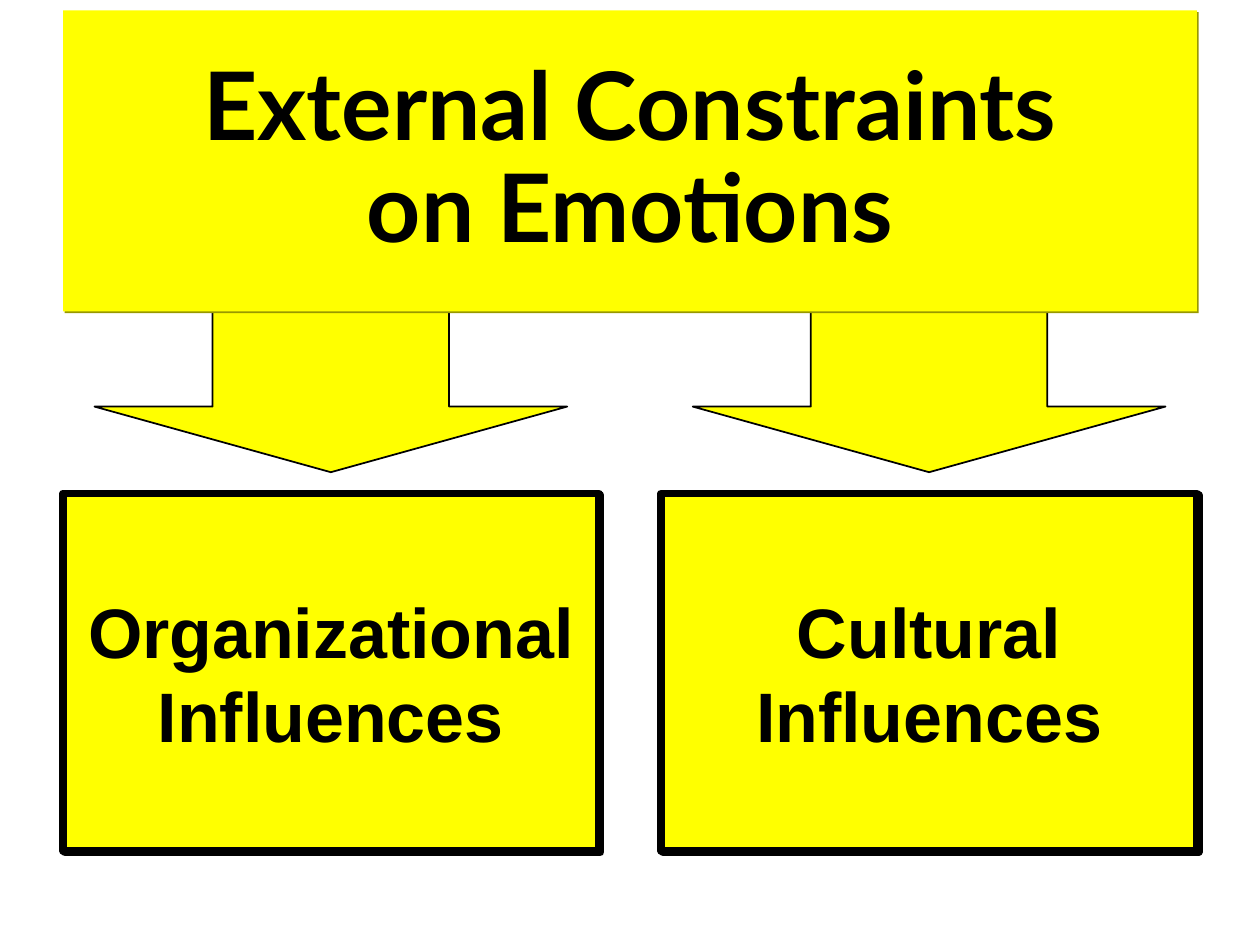
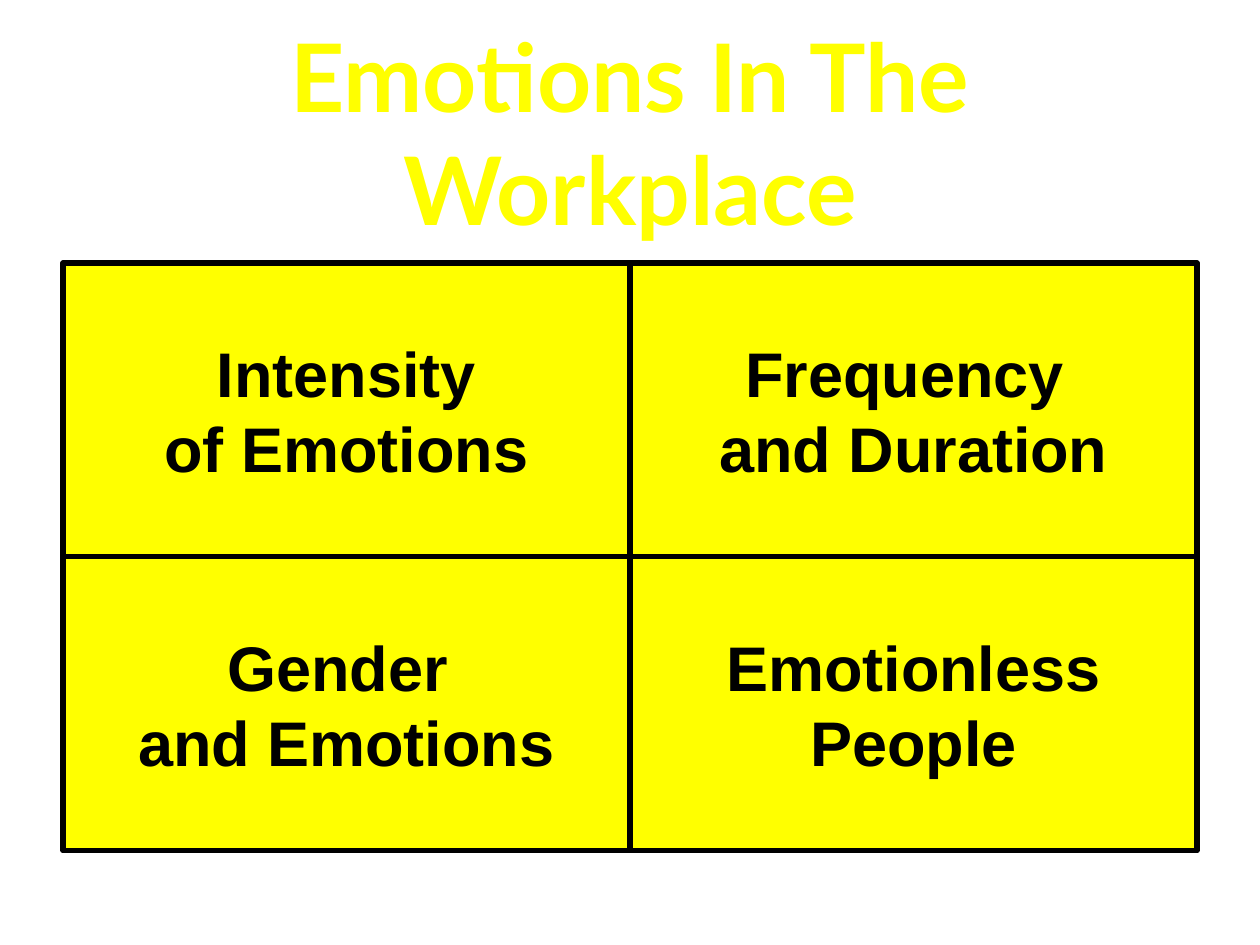
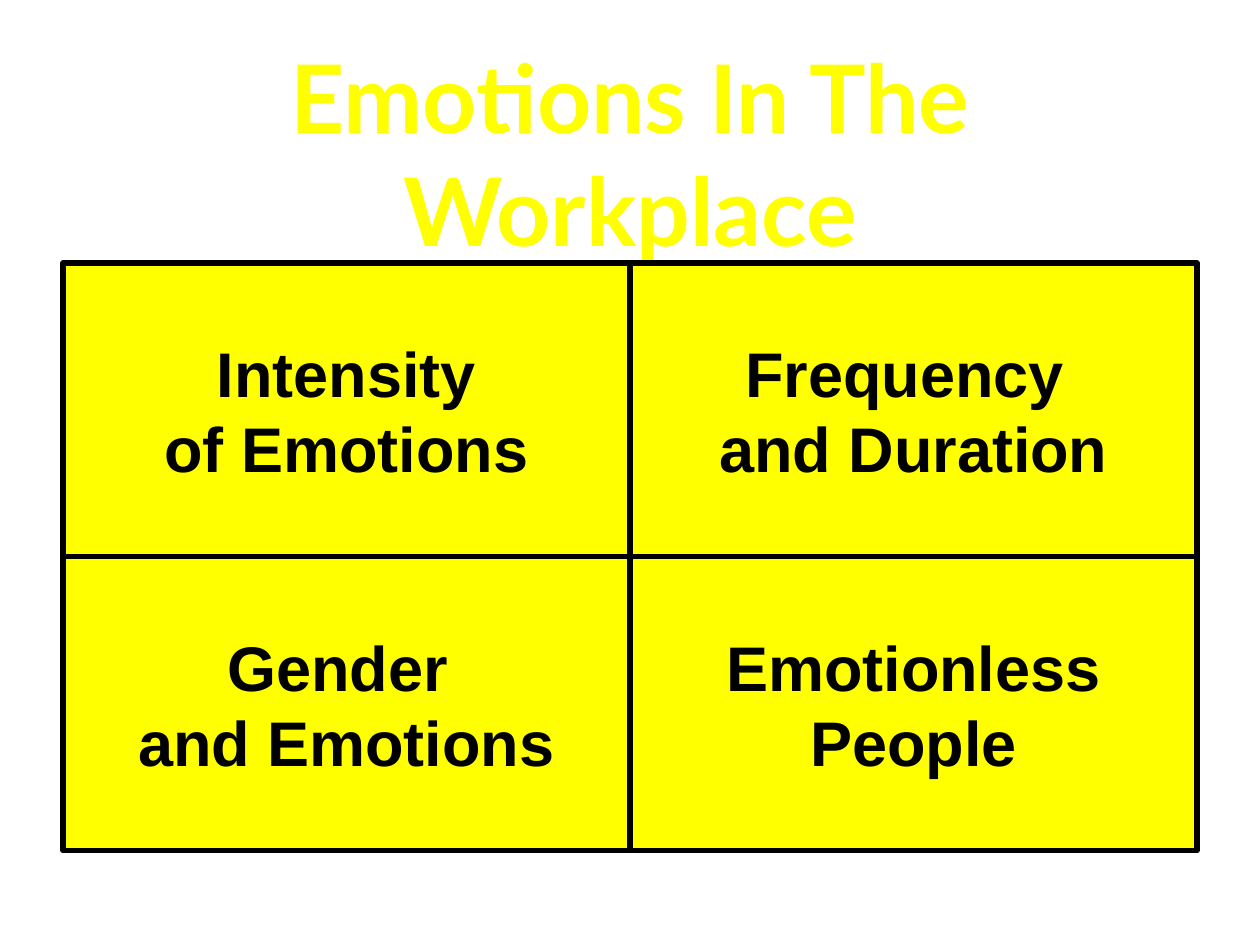
from dataclasses import dataclass

from lxml import etree
from pptx import Presentation
from pptx.dml.color import RGBColor
from pptx.enum.shapes import MSO_SHAPE
from pptx.enum.text import MSO_ANCHOR, MSO_AUTO_SIZE, PP_ALIGN
from pptx.oxml.ns import qn
from pptx.util import Cm, Pt

RECTANGLE = MSO_SHAPE.RECTANGLE
DOWN_ARROW = MSO_SHAPE.DOWN_ARROW
MIDDLE = MSO_ANCHOR.MIDDLE
CENTER = PP_ALIGN.CENTER
NO_AUTOFIT = MSO_AUTO_SIZE.NONE
TITLE_ONLY = 5


@dataclass(frozen=True)
class Theme:
    yellow: str = "FFFF00"
    black: str = "000000"
    dark_yellow: str = "989800"
    title_font: str = "Lato"
    body_font: str = "Arial"
    title_size: int = 54
    influence_size: int = 40
    topic_size: int = 36
    arrow_line: float = 1
    topic_line: float = 3
    influence_line: float = 4.5


# Shared layout, in centimetres
SLIDE_WIDTH, SLIDE_HEIGHT = 25.4, 19.05
MARGIN = 1.27
CONTENT_WIDTH = SLIDE_WIDTH - 2 * MARGIN
CONTENT_BOTTOM = 17.15


class Deck:
    """Holds the theme and the current slide."""

    def __init__(self, theme):
        self.theme = theme
        self.presentation = Presentation()
        self.presentation.slide_width = Cm(SLIDE_WIDTH)
        self.presentation.slide_height = Cm(SLIDE_HEIGHT)
        self.slide = None

    def new_slide(self):
        layout = self.presentation.slide_layouts[TITLE_ONLY]
        self.slide = self.presentation.slides.add_slide(layout)

    def set_text(self, shape, text, font_name, size, color, line_spacing=1.0):
        text_frame = shape.text_frame
        text_frame.text = text
        text_frame.vertical_anchor = MIDDLE
        for paragraph in text_frame.paragraphs:
            paragraph.alignment = CENTER
            paragraph.line_spacing = line_spacing
            for run in paragraph.runs:
                run.font.name = font_name
                run.font.size = Pt(size)
                run.font.bold = True
                run.font.color.rgb = RGBColor.from_string(color)

    def fill(self, shape):
        shape.fill.solid()
        shape.fill.fore_color.rgb = RGBColor.from_string(self.theme.yellow)

    def add_shadow(self, shape, color):
        shape.shadow.inherit = False
        effects = shape._element.spPr.find(qn("a:effectLst"))
        shadow = etree.SubElement(effects, qn("a:outerShdw"), blurRad="0",
                                  dist=str(Pt(1.4)), dir="2700000", algn="ctr", rotWithShape="0")
        etree.SubElement(shadow, qn("a:srgbClr"), val=color)

    def title(self, text, top, height, color, line_spacing=1.0):
        title = self.slide.shapes.title
        title.left, title.top = Cm(MARGIN), Cm(top)
        title.width, title.height = Cm(CONTENT_WIDTH), Cm(height)
        self.set_text(title, text, self.theme.title_font, self.theme.title_size, color,
                      line_spacing)
        title.text_frame.auto_size = NO_AUTOFIT
        title.text_frame.word_wrap = True
        return title

    def banner(self, text, top, height):
        title = self.title(text, top, height, self.theme.black, line_spacing=0.9)
        self.fill(title)
        self.add_shadow(title, self.theme.dark_yellow)
        # Bring the banner in front of the arrows
        self.slide.shapes._spTree.append(title._element)

    def shape(self, shapes, kind, left, top, width, height, line_width):
        shape = shapes.add_shape(kind, Cm(left), Cm(top), Cm(width), Cm(height))
        shape.shadow.inherit = False
        self.fill(shape)
        shape.line.color.rgb = RGBColor.from_string(self.theme.black)
        shape.line.width = Pt(line_width)
        return shape

    def arrow(self, left, top, width, height):
        arrow = self.shape(self.slide.shapes, DOWN_ARROW, left, top, width, height,
                           self.theme.arrow_line)
        arrow.adjustments[0] = 0.5
        arrow.adjustments[1] = 0.25

    def box(self, shapes, text, left, top, width, height, size, line_width):
        box = self.shape(shapes, RECTANGLE, left, top, width, height, line_width)
        self.set_text(box, text, self.theme.body_font, size, self.theme.black)
        box.text_frame.word_wrap = False
        return box

    def topic_grid(self, rows, top):
        group = self.slide.shapes.add_group_shape()
        width = CONTENT_WIDTH / len(rows[0])
        height = (CONTENT_BOTTOM - top) / len(rows)
        for row, topics in enumerate(rows):
            for column, topic in enumerate(topics):
                self.box(group.shapes, topic, MARGIN + column * width, top + row * height,
                         width, height, self.theme.topic_size, self.theme.topic_line)


def add_constraints_slide(deck):
    deck.new_slide()
    box_width, box_top = 10.8, 9.95
    arrow_width = 9.53
    influences = ["Organizational\nInfluences", "Cultural\nInfluences"]
    lefts = [MARGIN, SLIDE_WIDTH - MARGIN - box_width]

    # Arrows centred above the influence boxes
    for left in lefts:
        deck.arrow(left + (box_width - arrow_width) / 2, 4.23, arrow_width, 5.29)

    for left, influence in zip(lefts, influences):
        box = deck.box(deck.slide.shapes, influence, left, box_top, box_width,
                       CONTENT_BOTTOM - box_top, deck.theme.influence_size,
                       deck.theme.influence_line)
        deck.add_shadow(box, deck.theme.black)

    deck.banner("External Constraints\von Emotions", 0.21, 6.07)


def add_workplace_slide(deck, title_top):
    deck.new_slide()
    deck.title("Emotions In The Workplace", title_top, 4.02, deck.theme.yellow)
    deck.topic_grid([["Intensity\nof Emotions", "Frequency \nand Duration"],
                     ["Gender \nand Emotions", "Emotionless\nPeople"]], top=5.3)


def main():
    deck = Deck(Theme())
    add_constraints_slide(deck)
    for title_top in (0.64, 1.06):
        add_workplace_slide(deck, title_top)
    deck.presentation.save("out.pptx")


if __name__ == "__main__":
    main()
